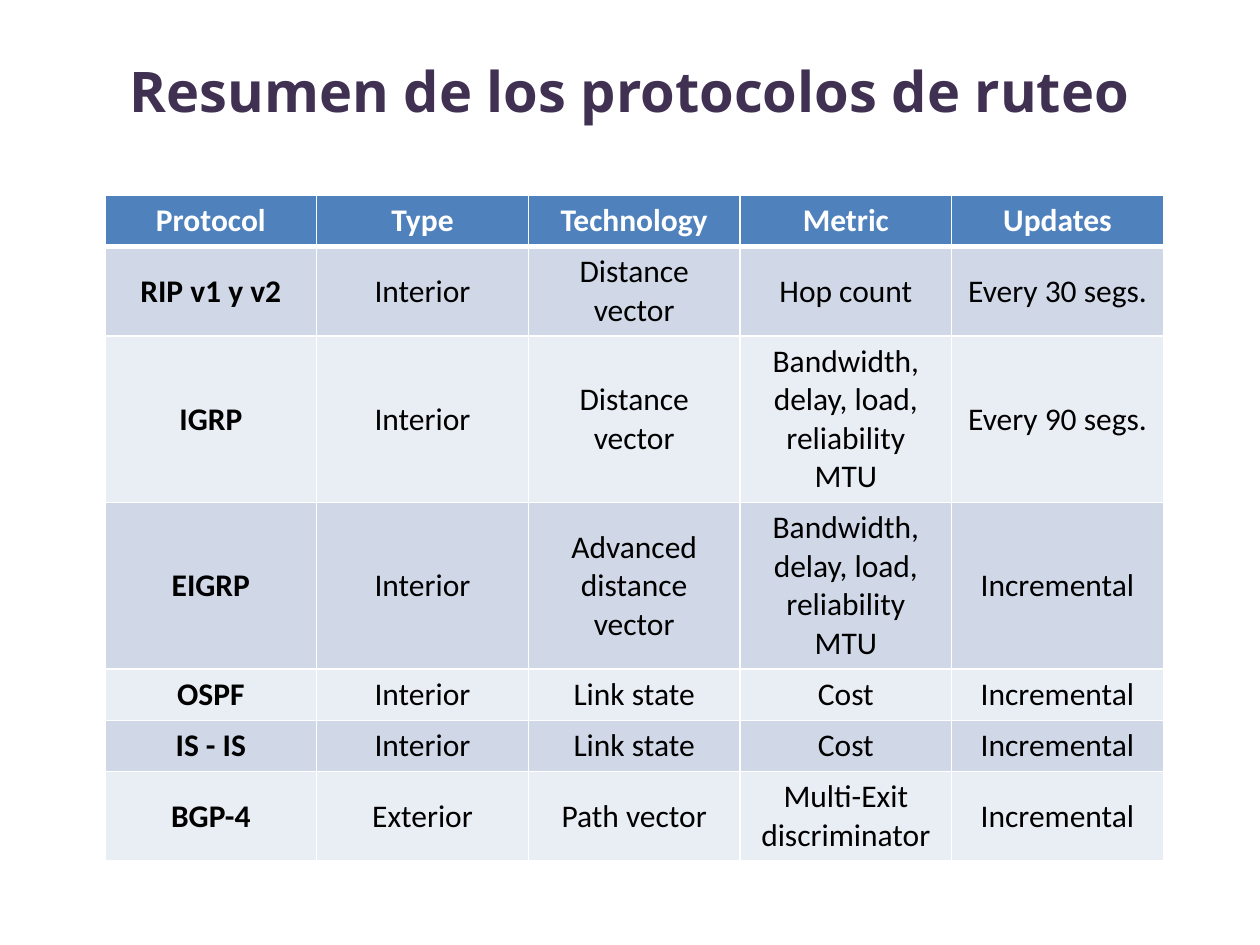
from lxml import etree
from pptx import Presentation
from pptx.dml.color import RGBColor
from pptx.enum.text import MSO_ANCHOR, PP_ALIGN
from pptx.oxml.ns import qn
from pptx.util import Inches, Pt

CENTER, MIDDLE = PP_ALIGN.CENTER, MSO_ANCHOR.MIDDLE
TITLE_ONLY = 5
COLORS = {"title": "403152", "header": "4F81BD", "band": "D0D8E8",
          "plain": "E9EDF4", "text": "000000", "white": "FFFFFF"}
TITLE_FONT = {"name": "Open Sans", "size": Pt(32), "bold": True}
CELL_FONT = {"name": "Calibri", "size": Pt(18)}
THIN, THICK = Pt(1), Pt(3)

INTERIOR, INCREMENTAL = "Interior", "Incremental"
COMPOSITE = "Bandwidth, delay, load, reliability MTU"
PROTOCOLS = [
    ["Protocol", "Type", "Technology", "Metric", "Updates"],
    ["RIP v1 y v2", INTERIOR, "Distance vector", "Hop count", "Every 30 segs."],
    ["IGRP", INTERIOR, "Distance vector", COMPOSITE, "Every 90 segs."],
    ["EIGRP", INTERIOR, "Advanced distance vector", COMPOSITE, INCREMENTAL],
    ["OSPF", INTERIOR, "Link state", "Cost", INCREMENTAL],
    ["IS - IS", INTERIOR, "Link state", "Cost", INCREMENTAL],
    ["BGP-4", "Exterior", "Path vector", "Multi-Exit discriminator", INCREMENTAL],
]


class Deck:
    """Holds the slide size, the style and the current slide."""

    def __init__(self, width, height):
        self.prs = Presentation()
        self.prs.slide_width, self.prs.slide_height = Inches(width), Inches(height)
        self.slide = self.prs.slides.add_slide(self.prs.slide_layouts[TITLE_ONLY])

    def box(self, x, y, w, h):
        """Turn shares of the slide's size into lengths."""
        sw, sh = self.prs.slide_width, self.prs.slide_height
        return int(x * sw), int(y * sh), int(w * sw), int(h * sh)

    def add_text(self, tf, text, font, color):
        p = tf.paragraphs[0]
        p.alignment = CENTER
        r = p.add_run()
        r.text = text
        for key, value in font.items():
            setattr(r.font, key, value)
        r.font.color.rgb = RGBColor.from_string(COLORS[color])

    def title(self, text, *shares):
        sp = self.slide.shapes.title
        sp.left, sp.top, sp.width, sp.height = self.box(*shares)
        tf = sp.text_frame
        tf.vertical_anchor, tf.word_wrap = MIDDLE, True
        self.add_text(tf, text, TITLE_FONT, "title")

    def borders(self, cell, top, bottom):
        tc_pr = cell._tc.get_or_add_tcPr()
        widths = {"a:lnL": THIN, "a:lnR": THIN, "a:lnT": top, "a:lnB": bottom}
        for i, (tag, width) in enumerate(widths.items()):
            ln = etree.Element(qn(tag), w=str(int(width)))
            fill = etree.SubElement(ln, qn("a:solidFill"))
            etree.SubElement(fill, qn("a:srgbClr"), val=COLORS["white"])
            tc_pr.insert(i, ln)

    def table(self, rows, *shares):
        frame = self.slide.shapes.add_table(len(rows), len(rows[0]), *self.box(*shares))
        table = frame.table
        table.horz_banding = False
        for i, row in enumerate(rows):
            header = i == 0
            fill = "header" if header else "band" if i % 2 else "plain"
            for j, text in enumerate(row):
                cell = table.cell(i, j)
                cell.vertical_anchor = MIDDLE
                cell.fill.solid()
                cell.fill.fore_color.rgb = RGBColor.from_string(COLORS[fill])
                self.borders(cell, THICK if i == 1 else THIN, THICK if header else THIN)
                font = {**CELL_FONT, "bold": header or j == 0}
                self.add_text(cell.text_frame, text, font, "white" if header else "text")


def main():
    deck = Deck(10, 7.5)
    # Heading
    deck.title("Resumen de los protocolos de ruteo", 0.01, 0.01, 0.98, 0.17)
    # Protocol summary: rows grow to fit their text
    deck.table(PROTOCOLS, 1 / 12, 1.55 / 7.5, 0.84, 0.38)
    deck.prs.save("out.pptx")


if __name__ == "__main__":
    main()
